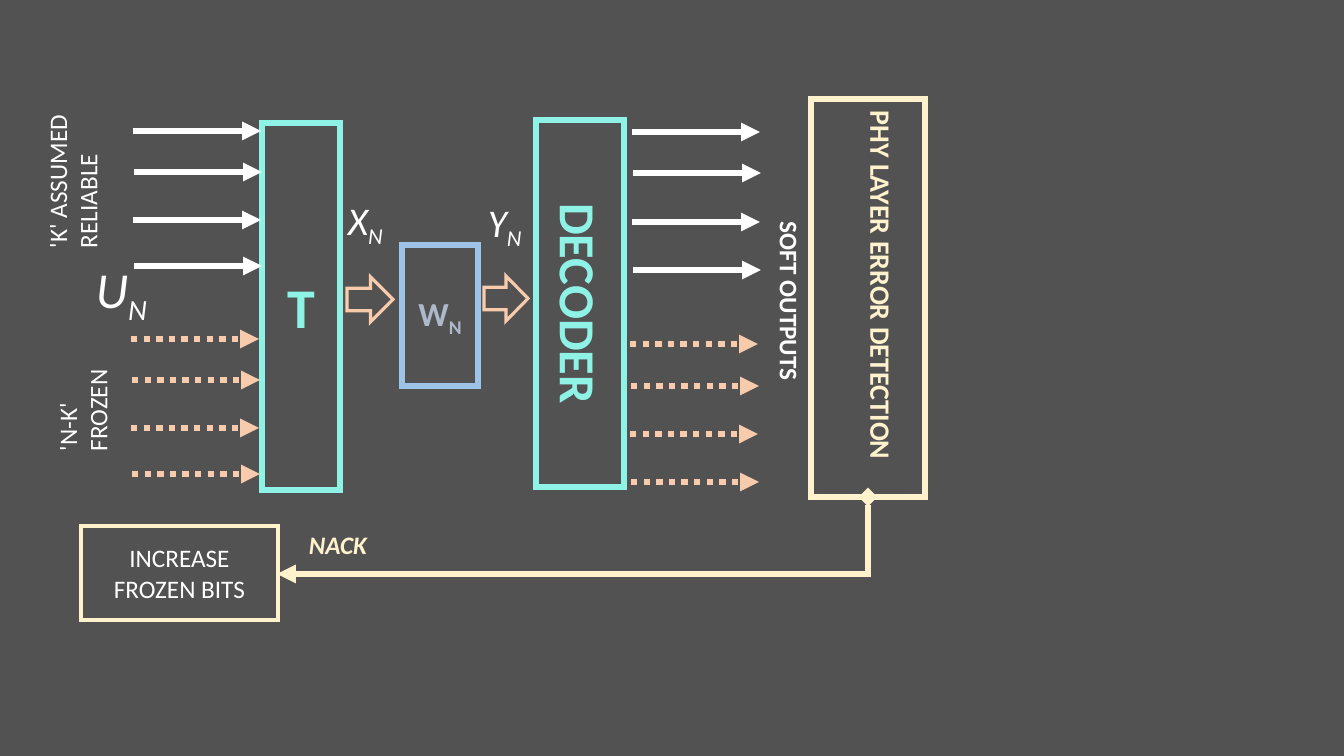
from pptx import Presentation
from pptx.dml.color import RGBColor
from pptx.enum.dml import MSO_LINE
from pptx.enum.shapes import MSO_CONNECTOR, MSO_SHAPE
from pptx.enum.text import MSO_ANCHOR, PP_ALIGN
from pptx.oxml.ns import qn
from pptx.util import Emu, Pt
from lxml.etree import SubElement

SCALE = 914400 / 100.8
COLOURS = {"ground": "525252", "teal": "8EF3E6", "blue": "9DC3E6", "grey": "ADB9CA",
           "white": "FFFFFF", "peach": "F8CBAD", "cream": "FFF2CC"}

# Left, top, width, height; line colour, line width; text, subscript; font; direction; margins
BLOCKS = [
    ((262, 123, 78, 367), "teal", 4.5, "T", "", (40, "teal", True), None, {}),
    ((536, 120, 88, 367), "teal", 4.5, "DECODER", "", (36, "teal", True), "vert", {}),
    ((402, 245, 76, 141), "blue", 4.5, "W", "N", (24, "grey", True), None, {}),
    ((811, 99, 114, 398), "cream", 4.5, "PHY LAYER ERROR DETECTION", "",
     (20, "cream", True), "vert", {"margin_left": 32, "margin_bottom": 36}),
    ((81, 526, 197, 94), "cream", 3, "INCREASE FROZEN BITS", "",
     (18, "white", False), None, {}),
]

# Left, top, width, height; text, subscript; size, colour, bold, italic; direction
LABELS = [
    ((338, 191, 97, 89), "X", "N", (28, "white", False, True), None),
    ((86, 253, 97, 111), "U", "N", (36, "white", False, True), None),
    ((478, 193, 97, 89), "Y", "N", (28, "white", False, True), None),
    ((47, 334, 101, 127), "'N-K' FROZEN", "", (18, "white"), "vert270"),
    ((37, 100, 101, 158), "'K' ASSUMED RELIABLE", "", (18, "white"), "vert270"),
    ((739, 212, 71, 325), "SOFT OUTPUTS", "", (18, "white", True), "vert"),
    ((299, 524, 124, 60), "NACK", "", (18, "cream", True, True), None),
]

# Start x, colour, dash, heights of the four arrows
BIT_ARROWS = [
    (133, "white", None, (131, 172, 220, 266)),
    (131, "peach", MSO_LINE.ROUND_DOT, (339, 380, 428, 474)),
    (632, "white", None, (132, 173, 222, 270)),
    (630, "peach", MSO_LINE.ROUND_DOT, (344, 386, 434, 482)),
]
BIT_ARROW_LENGTH = 128
CHANNEL_ARROWS = [(347, 277, 46, 45), (484, 276, 44, 45)]
FEEDBACK = (277, 497, 591, 77)


def px(length):
    """Turn picture pixels into EMU."""
    return Emu(round(length * SCALE))


def colour(name):
    """Look up a named colour."""
    return RGBColor.from_string(COLOURS[name])


def write(shape, text, subscript, font, direction=None, **frame_format):
    """Put text with an optional subscript into a shape."""
    size, ink, bold, italic = (*font, False, False)[:4]
    frame = shape.text_frame
    for name, value in {"word_wrap": True, **frame_format}.items():
        setattr(frame, name, value)
    if direction:
        frame._txBody.bodyPr.set("vert", direction)
    para = frame.paragraphs[0]
    for part, baseline in ((text, None), (subscript, "-25000")):
        if not part:
            continue
        span = para.add_run()
        span.text = part
        styles = {"name": "Calibri", "size": Pt(size), "bold": bold, "italic": italic}
        for name, value in styles.items():
            setattr(span.font, name, value)
        span.font.color.rgb = colour(ink)
        if baseline:
            span._r.get_or_add_rPr().set("baseline", baseline)
    return para


def outline(preset, place, ink, width):
    """Draw an unfilled preset shape with a mitred outline."""
    shape = slide.shapes.add_shape(preset, *map(px, place))
    shape.shadow.inherit = False
    shape.fill.background()
    shape.line.color.rgb = colour(ink)
    shape.line.width = Pt(width)
    SubElement(shape.line._get_or_add_ln(), qn("a:miter"), lim="800000")
    return shape


def arrow(kind, points, ink, dash=None, head=None):
    """Draw a connector with a triangle at its end."""
    line = slide.shapes.add_connector(kind, *map(px, points))
    line.line.color.rgb = colour(ink)
    line.line.width = Pt(4.5)
    if dash:
        line.line.dash_style = dash
    stroke = line.line._get_or_add_ln()
    SubElement(stroke, qn("a:miter"), lim="800000")
    if head:
        SubElement(stroke, qn("a:headEnd"), type=head)
    SubElement(stroke, qn("a:tailEnd"), type="triangle")
    SubElement(line._element.spPr, qn("a:effectLst"))
    return line


deck = Presentation()
deck.slide_width, deck.slide_height = px(1344), px(756)
slide = deck.slides.add_slide(deck.slide_layouts[6])
slide.background.fill.solid()
slide.background.fill.fore_color.rgb = colour("ground")

for place, ink, width, text, subscript, font, direction, margins in BLOCKS:
    block = outline(MSO_SHAPE.RECTANGLE, place, ink, width)
    insets = {name: px(value) for name, value in margins.items()}
    para = write(block, text, subscript, font, direction,
                 vertical_anchor=MSO_ANCHOR.MIDDLE, **insets)
    para.alignment = PP_ALIGN.CENTER

for start, ink, dash, heights in BIT_ARROWS:
    for index, y in enumerate(heights):
        x = start + index % 2
        arrow(MSO_CONNECTOR.STRAIGHT, (x, y, x + BIT_ARROW_LENGTH, y), ink, dash)

for place in CHANNEL_ARROWS:
    outline(MSO_SHAPE.RIGHT_ARROW, place, "peach", 2.25)

for place, text, subscript, font, direction in LABELS:
    box = slide.shapes.add_textbox(*map(px, place))
    write(box, text, subscript, font, direction, vertical_anchor=MSO_ANCHOR.TOP)

# The feedback elbow is laid out upright, then turned a quarter about its centre.
left, top, width, height = FEEDBACK
middle_x, middle_y = left + width / 2, top + height / 2
feedback = arrow(MSO_CONNECTOR.ELBOW,
                 (middle_x - height / 2, middle_y - width / 2,
                  middle_x + height / 2, middle_y + width / 2), "cream", head="diamond")
properties = feedback._element.spPr
properties.find(qn("a:xfrm")).set("rot", str(90 * 60000))
properties.find(qn("a:prstGeom")).set("prst", "bentConnector2")

deck.save("out.pptx")
